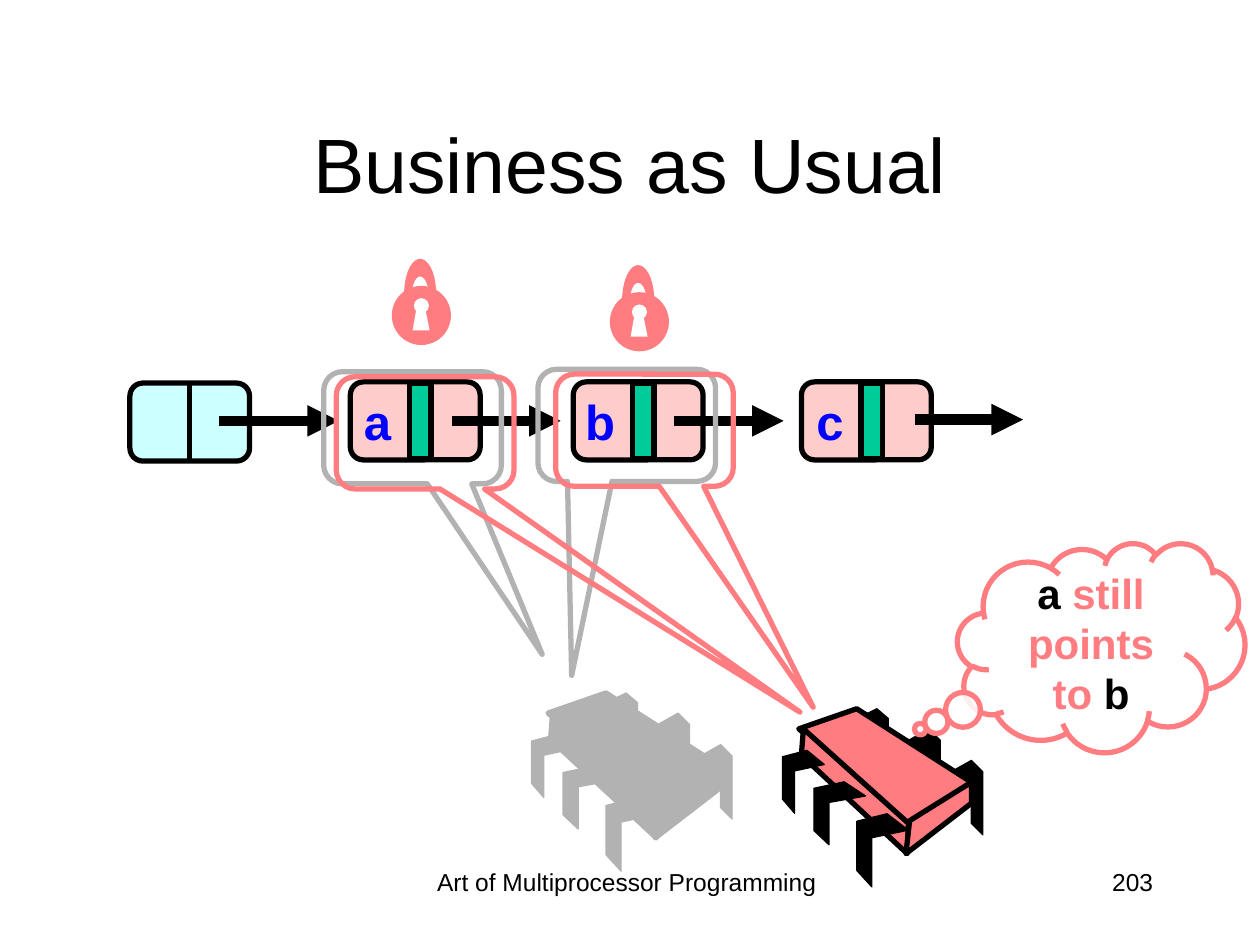
import math
from lxml import etree
from pptx import Presentation
from pptx.dml.color import RGBColor
from pptx.enum.shapes import MSO_CONNECTOR, MSO_SHAPE
from pptx.enum.text import MSO_ANCHOR, PP_ALIGN
from pptx.oxml.ns import qn
from pptx.util import Pt

ROUND, RECT, OVAL = MSO_SHAPE.ROUNDED_RECTANGLE, MSO_SHAPE.RECTANGLE, MSO_SHAPE.OVAL
CALLOUT, CLOUD = MSO_SHAPE.ROUNDED_RECTANGULAR_CALLOUT, MSO_SHAPE.CLOUD_CALLOUT
STRAIGHT, MIDDLE = MSO_CONNECTOR.STRAIGHT, MSO_ANCHOR.MIDDLE
CENTER, RIGHT = PP_ALIGN.CENTER, PP_ALIGN.RIGHT
BLACK, WHITE, GRAY, RED = "000000", "FFFFFF", "B2B2B2", "FF7C80"
color = RGBColor.from_string

prs = Presentation()
prs.slide_width, prs.slide_height = Pt(720), Pt(540)
s = prs.slides.add_slide(prs.slide_layouts[5])
shapes = s.shapes


def style(sp, fill=None, line=None, width=3):
    if hasattr(sp, "fill"):
        sp.shadow.inherit = False
        if fill:
            sp.fill.solid()
            sp.fill.fore_color.rgb = color(fill)
        else:
            sp.fill.background()
    else:
        etree.SubElement(sp._element.spPr, qn("a:effectLst"))
    if line:
        sp.line.color.rgb = color(line)
        sp.line.width = Pt(width)
    else:
        sp.line.fill.background()
    return sp


def polygon(points, x=0, y=0, sx=1, sy=1):
    pts = [(Pt(x + px * sx), Pt(y + py * sy)) for px, py in points]
    fb = shapes.build_freeform(*pts[0], scale=1.0)
    fb.add_line_segments(pts[1:], close=True)
    return fb.convert_to_shape()


title = shapes.title
title.left, title.top, title.width, title.height = Pt(54), Pt(48), Pt(612), Pt(90)
title.text_frame.text = "Business as Usual"
title.text_frame.vertical_anchor = MIDDLE
labels = [(title, CENTER, 44, False, BLACK)]

for text, x, w, align in [("Art of Multiprocessor Programming", 223.2, 270, CENTER),
                          ("203", 516.2, 149.8, RIGHT)]:
    sp = shapes.add_textbox(Pt(x), Pt(491.8), Pt(w), Pt(36))
    sp.text_frame.word_wrap = True
    sp.text_frame.text = text
    labels.append((sp, align, 14, False, BLACK))

head = style(shapes.add_shape(ROUND, Pt(74.2), Pt(218.9), Pt(68.4), Pt(44.6)), "CCFFFF", BLACK)
divider = style(shapes.add_connector(STRAIGHT, 0, 0, 0, 0), line=BLACK)
divider.begin_connect(head, 0)
divider.end_connect(head, 2)

BACK_LEG = [(0, 6.5), (11.5, 0), (18, 6.5), (18, 42.5), (11.5, 36), (11.5, 12.3), (0, 18)]
FRONT_LEG = [(17.3, 0), (29.5, 9.4), (8.6, 13.7), (8.6, 41.8), (0, 32.4), (0, 4.3)]
CHIP_TOP = [(42.5, 0), (108, 42), (71.5, 67), (9.4, 11.5)]
CHIP_FRONT = [(12, 11.5), (72, 65.5), (71.3, 82.8), (10.8, 26.6)]
CHIP_SIDE = [(108, 42), (108, 54), (70.6, 82.8), (72.7, 64)]
CHIP_PARTS = [
    (BACK_LEG, 96.5, 29.5, 1, 1), (BACK_LEG, 72.2, 11.5, 1, 1), (BACK_LEG, 42.5, 0, 1, 0.86),
    (CHIP_TOP, 0, 0, 1, 1), (CHIP_FRONT, 0, 0, 1, 1), (CHIP_SIDE, 0, 0, 1, 1),
    (FRONT_LEG, 42.5, 60, 1, 1), (FRONT_LEG, 18, 41.8, 1, 0.86), (FRONT_LEG, 0, 23.8, 0.81, 0.86),
]
for chip_x, chip_y, body, edge in [(303.8, 396, GRAY, GRAY), (447.1, 405, RED, BLACK)]:
    for points, dx, dy, sx, sy in CHIP_PARTS:
        leg = points in (BACK_LEG, FRONT_LEG)
        sp = polygon(points, chip_x + dx, chip_y + dy, sx, sy)
        style(sp, edge if leg else body, edge, 0.75 if leg else 3)

for name, x, text_x, text_w in [("a", 200.2, 200.9, 29.5), ("b", 327.6, 326.9, 31.7),
                                ("c", 458, 459.4, 29.5)]:
    style(shapes.add_shape(ROUND, Pt(x), Pt(218.2), Pt(74.2), Pt(44.6)), "FFCCCC", BLACK)
    style(shapes.add_connector(STRAIGHT, Pt(x + 34.7), Pt(217.4), Pt(x + 34.7), Pt(263.5)), line=BLACK)
    sp = shapes.add_textbox(Pt(text_x), Pt(220.3), Pt(text_w), Pt(41))
    sp.text_frame.word_wrap = False
    sp.text_frame.text = name
    labels.append((sp, RIGHT, 28, True, "0000FF"))
    style(shapes.add_shape(RECT, Pt(x + 34), Pt(218.9), Pt(12.2), Pt(43)), "00CC99", BLACK)

for sp, align, size, bold, ink in labels:
    p = sp.text_frame.paragraphs[0]
    p.alignment = align
    p.font.name, p.font.size, p.font.bold = "Arial", Pt(size), bold
    p.font.color.rgb = color(ink)

for x1, x2, y in [(125.3, 193.7, 240.5), (258.5, 320.4, 240.5),
                  (385.2, 447.8, 240.5), (522.7, 584.6, 239.8)]:
    arrow = style(shapes.add_connector(STRAIGHT, Pt(x1), Pt(y), Pt(x2), Pt(y)), line=BLACK, width=6)
    etree.SubElement(arrow.line._get_or_add_ln(), qn("a:tailEnd"), type="triangle")

for x, y, tip_x, tip_y, ink in [
    (185, 212.4, 0.73, 2.02, GRAY), (307.4, 211, -0.31, 2.23, GRAY),
    (317.5, 213.8, 0.95, 2.47, RED), (192.2, 215.3, 2.11, 2.49, RED),
]:
    sp = style(shapes.add_shape(CALLOUT, Pt(x), Pt(y), Pt(101.5), Pt(64.1)), line=ink)
    sp.adjustments[0], sp.adjustments[1] = tip_x, tip_y

ARC = [math.radians(180 - 10 * i) for i in range(19)]
SHACKLE = ([(9.2 * math.cos(a), -20.2 * math.sin(a)) for a in ARC]
           + [(4.7 * math.cos(a), -10.1 * math.sin(a)) for a in reversed(ARC)])
KEYHOLE = [(0, 12.6), (2.2, 0), (7.2, 0), (9.7, 12.6)]
for x, y in [(223.9, 163.4), (348.5, 167)]:
    style(shapes.add_shape(OVAL, Pt(x), Pt(y), Pt(33.8), Pt(33.8)), RED)
    style(shapes.add_shape(OVAL, Pt(x + 12.6), Pt(y + 7), Pt(8.6), Pt(8.6)), WHITE)
    style(polygon(KEYHOLE, x + 11.9, y + 12.8), WHITE)
    style(polygon(SHACKLE, x + 16.2, y + 4.7), RED)

cloud = style(shapes.add_shape(CLOUD, Pt(547.2), Pt(310.3), Pt(164.2), Pt(119.5)), WHITE, RED)
cloud.adjustments[0], cloud.adjustments[1] = -0.63, 0.39
fill_color = cloud._element.spPr.find(qn("a:solidFill"))[0]
etree.SubElement(fill_color, qn("a:alpha"), val="87000")
tf = cloud.text_frame
tf.word_wrap = True
tf.vertical_anchor = MIDDLE
p = tf.paragraphs[0]
p.alignment = CENTER
p.font.name, p.font.size, p.font.bold = "Arial", Pt(24), True
for text, ink in [("a", BLACK), (" still points to ", RED), ("b", BLACK)]:
    r = p.add_run()
    r.text = text
    r.font.color.rgb = color(ink)

prs.save("out.pptx")
